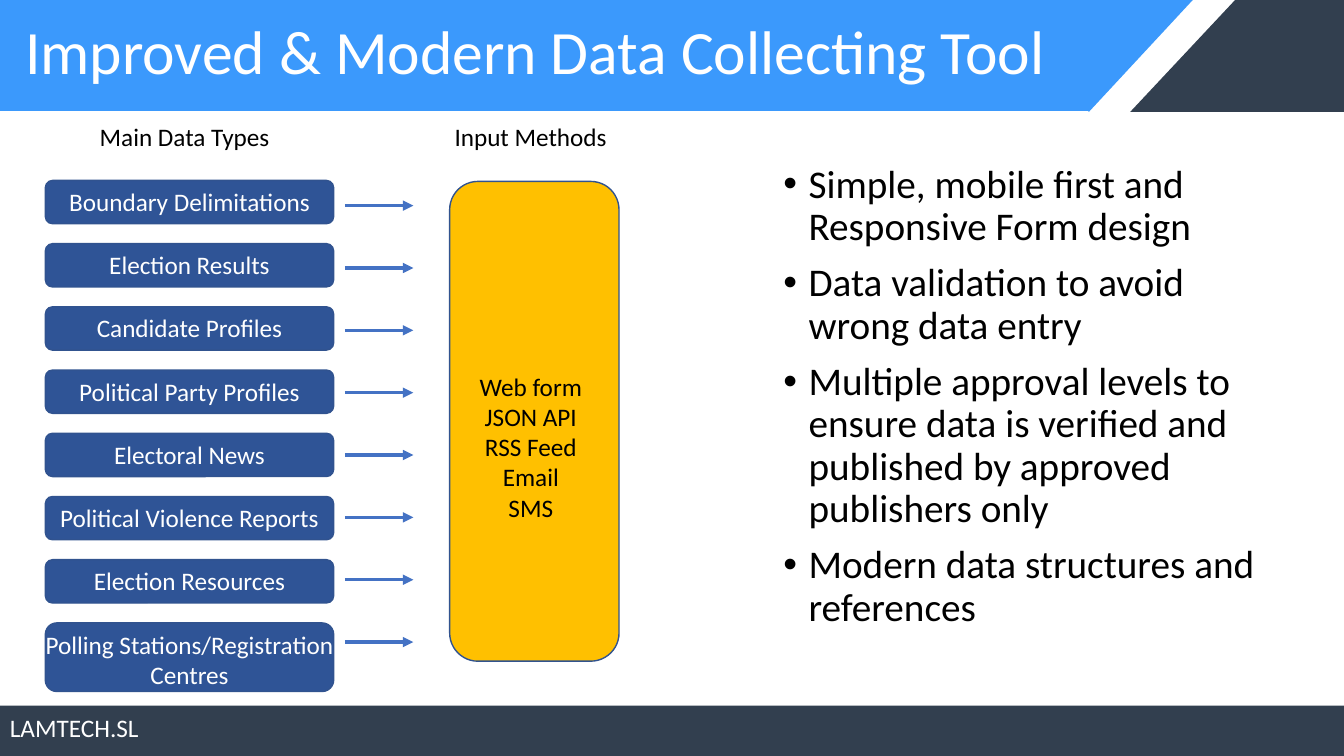
"""Build the slide on the data collecting tool."""
from lxml.etree import SubElement
from pptx import Presentation
from pptx.dml.color import RGBColor
from pptx.enum.shapes import MSO_CONNECTOR, MSO_SHAPE
from pptx.enum.text import MSO_ANCHOR, MSO_AUTO_SIZE, PP_ALIGN
from pptx.oxml.ns import qn
from pptx.util import Inches, Pt

TITLE = "Improved & Modern Data Collecting Tool"
FOOTER = "LAMTECH.SL"
DATA_TYPES = [
    "Boundary Delimitations",
    "Election Results",
    "Candidate Profiles",
    "Political Party Profiles",
    "Electoral News",
    "Political Violence Reports",
    "Election Resources",
    "Polling Stations/Registration Centres",
]
INPUT_METHODS = ["Web form", "JSON API", "RSS Feed", "Email", "SMS"]
BENEFITS = [
    "Simple, mobile first and Responsive Form design",
    "Data validation to avoid wrong data entry",
    "Multiple approval levels to ensure data is verified and published by approved publishers only",
    "Modern data structures and references",
]
HEADINGS = [("Main Data Types", 0.89, 1.91), ("Input Methods", 4.41, 1.73)]

FONT = "Calibri"
WHITE, BLACK, SLATE, SKY = "FFFFFF", "000000", "323F4F", "3B99FC"
NAVY, OUTLINE, ARROW, GOLD = "2F5496", "31538F", "4472C4", "FFC000"

BANNER = [
    (MSO_SHAPE.RECTANGLE, (12.25, 0, 1.08, 1.11), SLATE, 0),
    (MSO_SHAPE.ISOSCELES_TRIANGLE, (11.21, 0, 2.08, 1.11), SLATE, 0),
    (MSO_SHAPE.RECTANGLE, (0, -0.01, 10.8, 1.11), SKY, 0),
    (MSO_SHAPE.ISOSCELES_TRIANGLE, (9.77, 0, 2.06, 1.11), SKY, 180),
    (MSO_SHAPE.RECTANGLE, (0, 7, 13.33, 0.5), SLATE, 0),
]
PILL_TOPS = (1.79, 6.18)
ARROW_TOPS = (2.04, 6.37)


def color(hex_value):
    return RGBColor.from_string(hex_value)


def spread(ends, i, count):
    first, last = ends
    return first + (last - first) * i / (count - 1)


def write(tf, lines, size, ink, align=PP_ALIGN.LEFT, spacing=None):
    tf.word_wrap = True
    tf.auto_size = MSO_AUTO_SIZE.NONE
    tf.text = "\n".join(lines)
    for p in tf.paragraphs:
        p.alignment = align
        p.line_spacing = spacing
        for r in p.runs:
            r.font.name = FONT
            r.font.size = Pt(size)
            r.font.color.rgb = color(ink)


def add_text(s, box, lines, ink, align=PP_ALIGN.LEFT):
    tb = s.shapes.add_textbox(*map(Inches, box))
    write(tb.text_frame, lines, 18, ink, align)


def add_block(s, kind, box, fill, line=None):
    sp = s.shapes.add_shape(kind, *map(Inches, box))
    sp.shadow.inherit = False
    sp.fill.solid()
    sp.fill.fore_color.rgb = color(fill)
    if line:
        sp.line.color.rgb = color(line)
        sp.line.width = Pt(1)
    else:
        sp.line.fill.background()
    return sp


def add_arrow(s, left, right, y):
    cx = s.shapes.add_connector(
        MSO_CONNECTOR.STRAIGHT, Inches(left), Inches(y), Inches(right), Inches(y))
    cx.line.color.rgb = color(ARROW)
    cx.line.width = Pt(2.5)
    SubElement(cx.line._get_or_add_ln(), qn("a:tailEnd"), type="triangle")
    SubElement(cx._element.spPr, qn("a:effectLst"))


def place(sp, box):
    sp.left, sp.top, sp.width, sp.height = map(Inches, box)
    sp.element.getparent().append(sp.element)


def add_bullet(p):
    pPr = p._p.get_or_add_pPr()
    pPr.set("marL", str(Inches(0.25)))
    pPr.set("indent", str(Inches(-0.25)))
    SubElement(SubElement(pPr, qn("a:buClr")), qn("a:srgbClr"), val=BLACK)
    SubElement(pPr, qn("a:buFont"), typeface="Arial")
    SubElement(pPr, qn("a:buChar"), char="•")


def main():
    prs = Presentation()
    prs.slide_width, prs.slide_height = Inches(13.33), Inches(7.5)
    s = prs.slides.add_slide(prs.slide_layouts[1])
    title, body = s.placeholders

    for kind, box, fill, rotation in BANNER:
        add_block(s, kind, box, fill).rotation = rotation

    place(title, (0.15, -0.01, 10.64, 1.1))
    write(title.text_frame, [TITLE], 44, WHITE, spacing=0.9)
    title.text_frame.vertical_anchor = MSO_ANCHOR.MIDDLE
    add_text(s, (0, 7.02, 1.49, 0.4), [FOOTER], WHITE)

    place(body, (7.67, 1.58, 4.94, 4.76))
    write(body.text_frame, BENEFITS, 28, BLACK, spacing=0.9)
    for i, p in enumerate(body.text_frame.paragraphs):
        p.space_before = Pt(10 if i else 0)
        add_bullet(p)

    for heading, left, width in HEADINGS:
        add_text(s, (left, 1.15, width, 0.4), [heading], BLACK)

    count = len(DATA_TYPES)
    for i, data_type in enumerate(DATA_TYPES):
        top = spread(PILL_TOPS, i, count)
        height = 0.68 if i == count - 1 else 0.43
        add_block(s, MSO_SHAPE.ROUNDED_RECTANGLE, (0.45, top, 2.86, height), NAVY, OUTLINE)
        add_text(s, (0.33, top + 0.01, 3.1, height), [data_type], WHITE, PP_ALIGN.CENTER)
        add_arrow(s, 3.42, 4.1, spread(ARROW_TOPS, i, count))

    add_block(s, MSO_SHAPE.ROUNDED_RECTANGLE, (4.46, 1.8, 1.68, 4.76), GOLD, OUTLINE)
    add_text(s, (4.65, 3.63, 1.23, 1.62), INPUT_METHODS, BLACK, PP_ALIGN.CENTER)

    prs.save("out.pptx")


if __name__ == "__main__":
    main()
